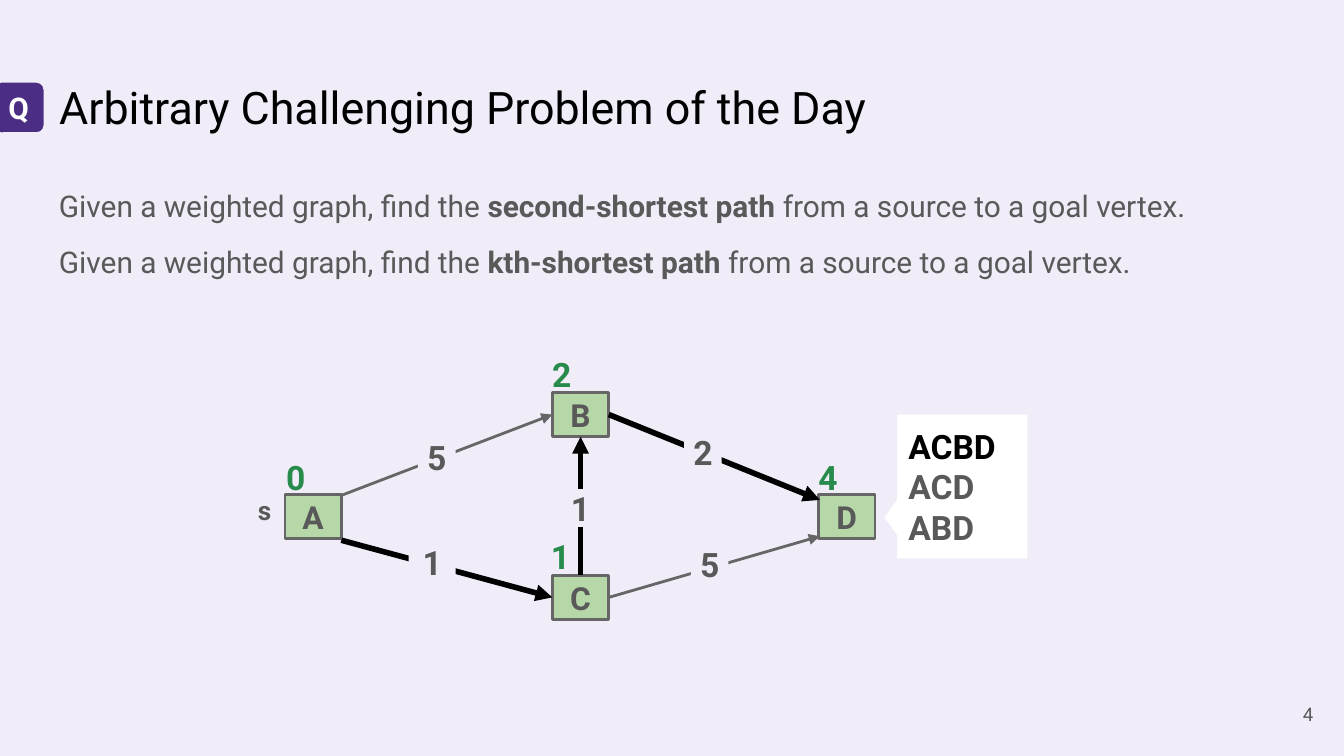
import pptx
import pptx.util
import pptx.dml.color
import pptx.enum.shapes
import pptx.enum.text
import pptx.oxml.ns
import lxml.etree

Pt = pptx.util.Pt
RGB = pptx.dml.color.RGBColor.from_string
KIND = pptx.enum.shapes.MSO_SHAPE
ALIGN = pptx.enum.text.PP_ALIGN
ANCHOR = pptx.enum.text.MSO_ANCHOR

HUES = {
    "back": "F0ECF8", "ink": "000000", "gray": "595959", "edge": "666666",
    "node": "B6D7A8", "cost": "278B4C", "badge": "4B2E83", "white": "FFFFFF",
}

deck = pptx.Presentation()
deck.slide_width = pptx.util.Inches(10)
deck.slide_height = pptx.util.Inches(5.625)
unit = deck.slide_width / 100  # square grid, 100 columns wide

slide = deck.slides.add_slide(deck.slide_layouts[5])
slide.background.fill.solid()
slide.background.fill.fore_color.rgb = RGB(HUES["back"])


def place(kind, x, y, w, h, fill=None, line=None, weight=1.5):
    """Add a shape, or a text box if kind is None, in grid units."""
    spot = [round(n * unit) for n in (x, y, w, h)]
    if kind is None:
        return slide.shapes.add_textbox(*spot)
    shape = slide.shapes.add_shape(kind, *spot)
    shape.shadow.inherit = False
    shape.fill.solid()
    shape.fill.fore_color.rgb = RGB(HUES[fill])
    if line:
        shape.line.color.rgb = RGB(HUES[line])
        shape.line.width = Pt(weight)
    else:
        shape.line.fill.background()
    return shape


def write(shape, lines, size, align=ALIGN.CENTER, anchor=ANCHOR.MIDDLE, side=1):
    """Fill a shape with lines, each a list of (text, hue, bold) runs."""
    frame = shape.text_frame
    frame.word_wrap = True
    frame.auto_size = pptx.enum.text.MSO_AUTO_SIZE.NONE
    frame.vertical_anchor = anchor
    frame.margin_left = frame.margin_right = round(side * unit)
    frame.margin_top = frame.margin_bottom = round(unit)
    for i, runs in enumerate(lines):
        para = frame.add_paragraph() if i else frame.paragraphs[0]
        para.alignment = align
        for text, hue, bold in runs:
            run = para.add_run()
            run.text = text
            run.font.name = "Roboto"
            run.font.size = Pt(size)
            run.font.bold = bold
            run.font.color.rgb = RGB(HUES[hue])


# Title
title = slide.shapes.title
title.left, title.top, title.width, title.height = [
    round(n * unit) for n in (3.4, 4.9, 93.2, 6.3)]
write(title, [[("Arbitrary Challenging Problem of the Day", "ink", False)]],
      24, ALIGN.LEFT, ANCHOR.TOP)

# Problem statements
tasks = place(None, 3.4, 12.6, 93.2, 9)
write(tasks, [[("Given a weighted graph, find the ", "gray", False),
               (goal, "gray", True),
               (" from a source to a goal vertex.", "gray", False)]
              for goal in ("second-shortest path", "kth-shortest path")],
      16, ALIGN.LEFT, ANCHOR.TOP)
for para in tasks.text_frame.paragraphs:
    para.line_spacing = 1.15
para.space_before = para.space_after = Pt(8)

# Page number
write(place(None, 92.7, 51, 6, 4.3), [[("4", "gray", False)]], 10, ALIGN.RIGHT)

# Question badge
badge = place(KIND.ROUNDED_RECTANGLE, -0.6, 6, 4, 4, "badge", "back", 2.25)
write(badge, [[("Q", "white", True)]], 16)

# Graph nodes
nodes = {}
for name, x, y in (("A", 21.2, 36.8), ("B", 41.1, 29.2),
                   ("C", 41.1, 42.8), ("D", 60.9, 36.8)):
    nodes[name] = place(KIND.RECTANGLE, x, y, 4.2, 3.3, "node", "edge")
    write(nodes[name], [[(name, "gray", True)]], 17)

# Graph edges: ends, joined (node, side) at each end, on shortest path
edges = (
    (25.3, 36.9, 41.1, 30.8, None, ("B", 1), False),
    (25.4, 40.2, 41.1, 44.5, None, ("C", 1), True),
    (45.3, 44.5, 61, 39.9, ("C", 3), None, False),
    (43.2, 42.8, 43.2, 32.5, ("C", 0), ("B", 2), True),
    (45.3, 30.8, 61, 37.2, ("B", 3), None, True),
)
for *ends, start, stop, best in edges:
    edge = slide.shapes.add_connector(
        pptx.enum.shapes.MSO_CONNECTOR.STRAIGHT, *[round(n * unit) for n in ends])
    if start:
        edge.begin_connect(nodes[start[0]], start[1])
    if stop:
        edge.end_connect(nodes[stop[0]], stop[1])
    edge.line.color.rgb = RGB(HUES["ink" if best else "edge"])
    edge.line.width = Pt(3 if best else 1.5)
    tip = lxml.etree.SubElement(edge.line._get_or_add_ln(),
                                pptx.oxml.ns.qn("a:tailEnd"))
    tip.set("type", "triangle")
    lxml.etree.SubElement(edge._element.spPr, pptx.oxml.ns.qn("a:effectLst"))

# Edge weights
for text, x, y, wide in (("5", 31.1, 32.6, 2.8), ("5", 51.4, 40.6, 2.8),
                         ("1", 41.8, 36.4, 2.8), ("2", 50.9, 32.2, 2.8),
                         ("1", 30.4, 40.4, 3.5)):
    tag = place(KIND.RECTANGLE, x, y, wide, 2.8, "back")
    write(tag, [[(text, "gray", True)]], 18, side=0)

# Distances from the source
for text, x, y in (("0", 20.6, 34.1), ("1", 40.3, 40),
                   ("2", 40.4, 26.4), ("4", 60.2, 34.1)):
    write(place(None, x, y, 2.8, 2.8), [[(text, "cost", True)]], 18, side=0)

# Source mark
write(place(None, 18.2, 35.8, 3.5, 3.6), [[("s", "gray", True)]],
      14, ALIGN.LEFT, ANCHOR.TOP)

# Ranked paths
paths = place(KIND.ROUNDED_RECTANGULAR_CALLOUT, 66.6, 30.7, 10, 11,
              "white", "back", 2.25)
for i, value in enumerate((-0.6, 0.21, 0)):
    paths.adjustments[i] = value
write(paths, [[("ACBD", "ink", True)], [("ACD", "gray", True)],
              [("ABD", "gray", True)]], 18, ALIGN.LEFT)

deck.save("out.pptx")
